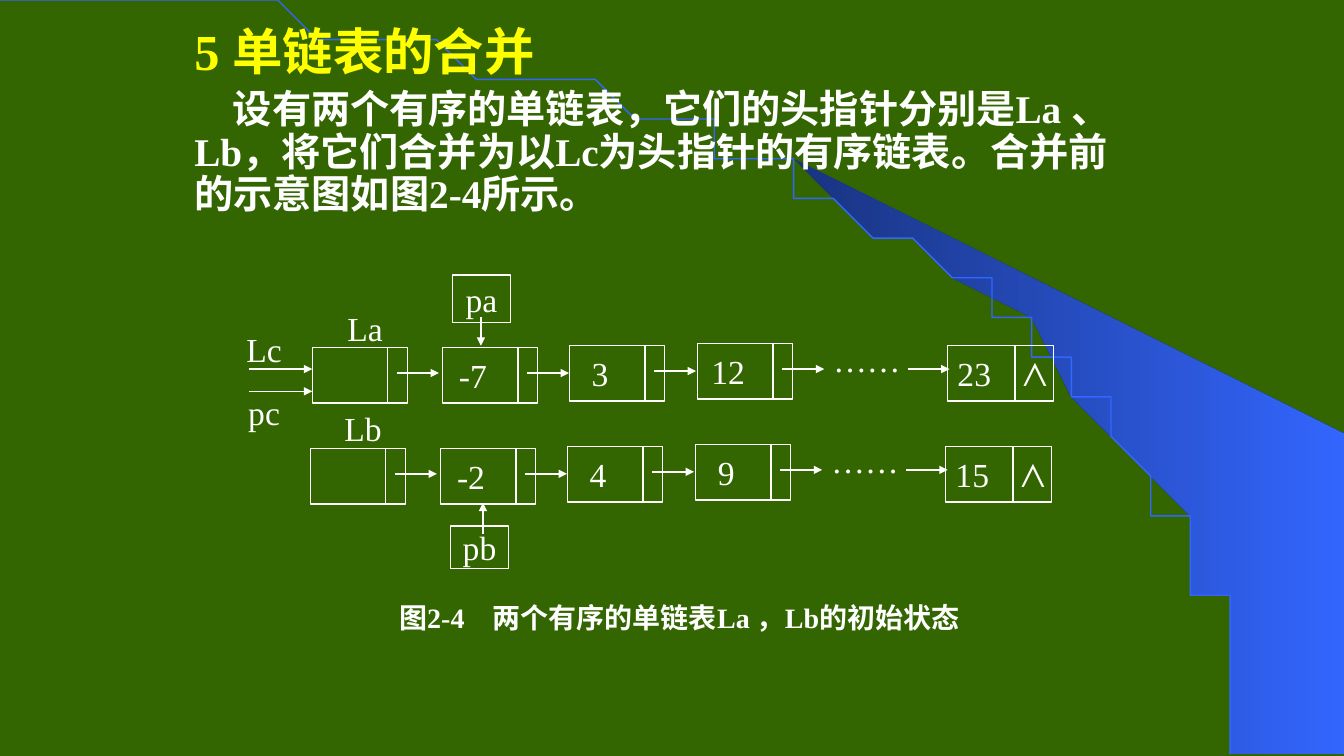
from itertools import groupby

from pptx import Presentation
from pptx import util as u
from pptx.dml.color import RGBColor
from pptx.enum import shapes, text
from pptx.oxml import ns, xmlchemy

HUE = {"back": "336600", "dark": "19337F", "blue": "3366FF",
       "head": "FFFF00", "ink": "FFFFFF"}
SERIF, HAN = "Times New Roman", "Noto Sans CJK SC"
LEFT, MID = text.PP_ALIGN.LEFT, text.PP_ALIGN.CENTER

# Nodes of a list: left and top in cm, for the upper row
NODES = [(7.87, 8.76), (11.15, 8.76), (14.35, 8.71), (17.58, 8.66)]
TAIL = (23.88, 8.71)
TALL = 1.4

BAND = [(31.17, 19), (33.81, 19.02), (33.81, 10.74), (19.96, 4.39),
        (21.13, 5.05), (22.1, 5.64), (23.19, 6.35), (24.26, 7.11),
        (25.81, 8.38), (27.18, 9.75), (28.19, 10.95), (29.06, 12.17),
        (29.74, 13.41), (30.25, 14.53), (30.58, 15.47), (30.91, 16.66),
        (31.06, 17.68)]
CURVE = [(0.03, 0), (17.22, 0.03), (31.14, 8.53), (31.14, 19.02)]


def rgb(name):
    return RGBColor.from_string(HUE[name])


def add(parent, tag, **attrs):
    """Append a drawing element with attributes."""
    node = xmlchemy.OxmlElement(tag)
    for key, val in attrs.items():
        node.set(key, str(val))
    parent.append(node)
    return node


def write(para, words, size=24, color="ink", bold=False, align=LEFT,
          space=None, before=0, indent=0, tab=None):
    """Fill a paragraph, with one run for each script."""
    para.alignment = align
    para.space_before = u.Pt(before)
    if space:
        para.line_spacing = space
    props = para._p.get_or_add_pPr()
    if indent:
        props.set("indent", str(u.Cm(indent)))
    if tab:
        tabs = add(props, "a:tabLst")
        add(tabs, "a:tab", pos=u.Cm(tab), algn="l")
    for han, chars in groupby(words, lambda c: ord(c) > 0x2E80):
        run = para.add_run()
        run.text = "".join(chars)
        font = run.font
        font.name = HAN if han else SERIF
        font.size, font.bold = u.Pt(size), bold
        font.color.rgb = rgb(color)
        add(run._r.get_or_add_rPr(), "a:ea", typeface=font.name)


def frame(shape, pads=(0, 0, 0, 0), anchor=text.MSO_ANCHOR.MIDDLE):
    """Prepare a text frame; pads are left, top, right, bottom."""
    body = shape.text_frame
    body.word_wrap = True
    body.vertical_anchor = anchor
    (body.margin_left, body.margin_top,
     body.margin_right, body.margin_bottom) = map(u.Cm, pads)
    return body


def label(slide, x, y, w, h, words, pads=(0, 0, 0, 0), **form):
    box = slide.shapes.add_textbox(*map(u.Cm, (x, y, w, h)))
    write(frame(box, pads).paragraphs[0], words, align=MID, **form)


def block(slide, x, y, w, h, words="", pads=(0, 0, 0, 0), **form):
    box = slide.shapes.add_shape(shapes.MSO_SHAPE.RECTANGLE,
                                 *map(u.Cm, (x, y, w, h)))
    box.shadow.inherit = False
    box.fill.background()
    box.line.color.rgb = rgb("ink")
    box.line.width = u.Pt(1)
    if words:
        write(frame(box, pads).paragraphs[0], words, **form)


def line(slide, x1, y1, x2, y2, arrow=True):
    link = slide.shapes.add_connector(shapes.MSO_CONNECTOR.STRAIGHT,
                                      *map(u.Cm, (x1, y1, x2, y2)))
    link.line.color.rgb = rgb("ink")
    link.line.width = u.Pt(1)
    props = link.element.spPr
    if arrow:
        add(props.find(ns.qn("a:ln")), "a:tailEnd", type="triangle")
    add(props, "a:effectLst")


def outline(slide, points, close):
    pen = slide.shapes.build_freeform(*points[0], scale=u.Cm(1))
    pen.add_line_segments(points[1:], close=close)
    form = pen.convert_to_shape()
    form.shadow.inherit = False
    return form


def bezier(ends, steps=60):
    """Points along a cubic curve."""
    for i in range(steps + 1):
        t = i / steps
        parts = ((1 - t) ** 3, 3 * t * (1 - t) ** 2, 3 * t * t * (1 - t), t ** 3)
        yield tuple(sum(k * p[axis] for k, p in zip(parts, ends))
                    for axis in (0, 1))


def backdrop(slide):
    fill = slide.background.fill
    fill.solid()
    fill.fore_color.rgb = rgb("back")
    band = outline(slide, BAND, True)
    band.line.fill.background()
    band.fill.gradient()
    band.fill.gradient_angle = 0
    for stop, name, place in zip(band.fill.gradient_stops,
                                 ("dark", "blue"), (0, 1)):
        stop.color.rgb = rgb(name)
        stop.position = place
    arc = outline(slide, list(bezier(CURVE)), False)
    arc.fill.background()
    arc.line.color.rgb = rgb("blue")
    arc.line.width = u.Pt(1)


def chain(slide, name, vals, last, dx=0, dy=0):
    """Draw one linked list, from its head node to its last node."""
    label(slide, 8.03 + dx, 7.62 + dy, 2.34, 1.27, name)
    for (x, y), val in zip(NODES, ["", *vals]):
        x, y = x + dx, y + dy
        block(slide, x, y, 2.4, TALL, val, (0, 0, 0.86, 0), align=MID)
        line(slide, x + 1.9, y, x + 1.9, y + TALL, arrow=False)
        line(slide, x + 2.13, y + 0.64, x + 3.19, y + 0.64)
    label(slide, 20.65 + dx, 8.36 + dy, 2.4, TALL, "……")
    line(slide, 22.88 + dx, 9.3 + dy, 23.93 + dx, 9.3 + dy)
    x, y = TAIL[0] + dx, TAIL[1] + dy
    block(slide, x, y, 2.67, TALL, last + "\t⋀", (0.25, 0, 0, 0), tab=1.65)
    line(slide, x + 1.7, y, x + 1.7, y + TALL, arrow=False)


def main():
    deck = Presentation()
    deck.slide_width, deck.slide_height = u.Cm(33.87), u.Cm(19.05)
    slide = deck.slides.add_slide(deck.slide_layouts[6])
    backdrop(slide)

    # Heading and introduction
    box = slide.shapes.add_textbox(*map(u.Cm, (4.65, 0.55, 24.33, 6.15)))
    body = frame(box, (0.25, 0.13, 0.25, 0.13), text.MSO_ANCHOR.TOP)
    write(body.paragraphs[0], "5 单链表的合并", size=36, color="head",
          bold=True, space=0.9)
    write(body.add_paragraph(),
          "设有两个有序的单链表，它们的头指针分别是La 、 Lb，将它们合并为以Lc为"
          "头指针的有序链表。合并前的示意图如图2-4所示。",
          size=28, bold=True, space=0.9, before=6, indent=0.97)

    # The two lists
    chain(slide, "La", ["-7", "3", "12"], "23")
    chain(slide, "Lb", ["-2", "4", "9"], "15", dx=-0.05, dy=2.54)

    # Pointers
    block(slide, 11.4, 6.93, 1.47, 1.2, "pa", align=MID)
    line(slide, 12.12, 8, 12.12, 8.71)
    block(slide, 11.35, 13.26, 1.47, 1.07, "pb", align=MID)
    line(slide, 12.17, 13.46, 12.17, 12.67)
    for name, top, level in (("Lc", 8.26, 9.3), ("pc", 9.86, 9.86)):
        label(slide, 5.92, top, 1.47, 1.07, name)
        line(slide, 6.27, level, 7.87, level)

    # Caption
    label(slide, 9.5, 14.94, 15.24, 1.24,
          "图2-4　两个有序的单链表La ，Lb的初始状态",
          (0.25, 0.13, 0.25, 0.13), size=20, bold=True)
    deck.save("out.pptx")


if __name__ == "__main__":
    main()
